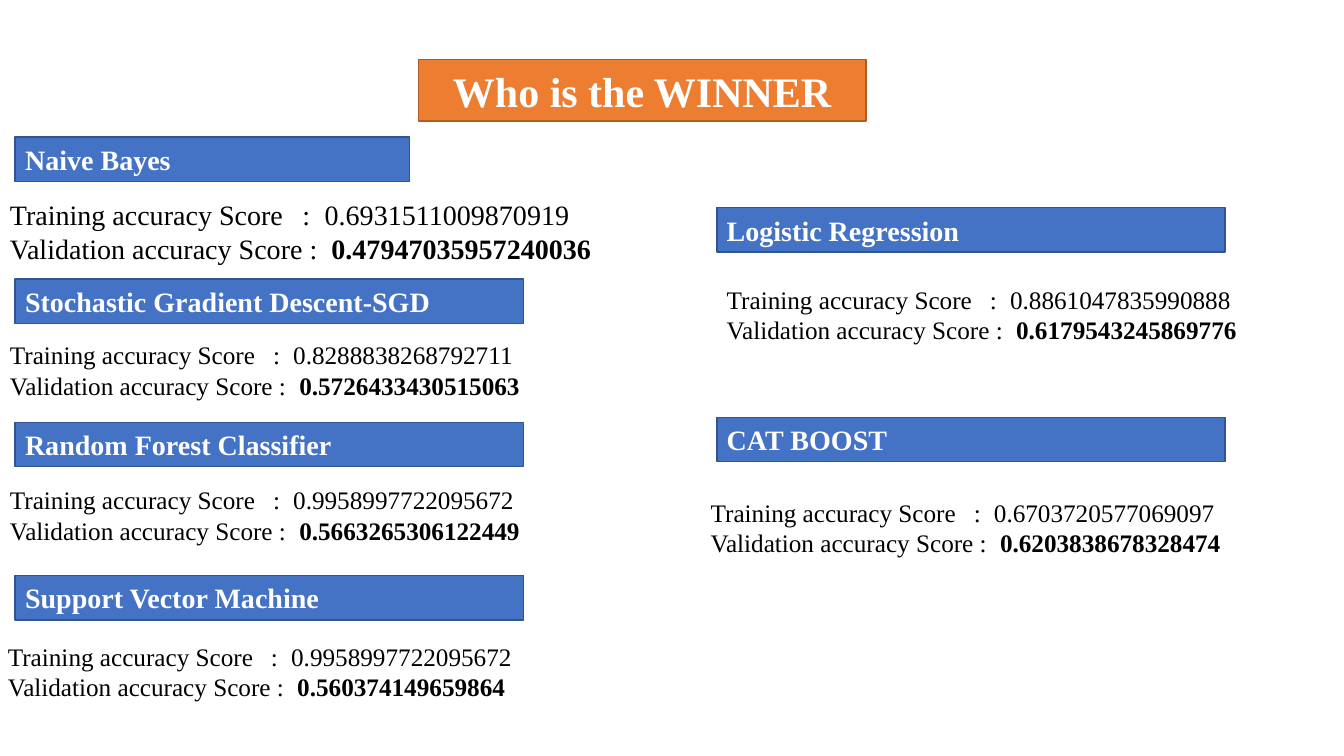
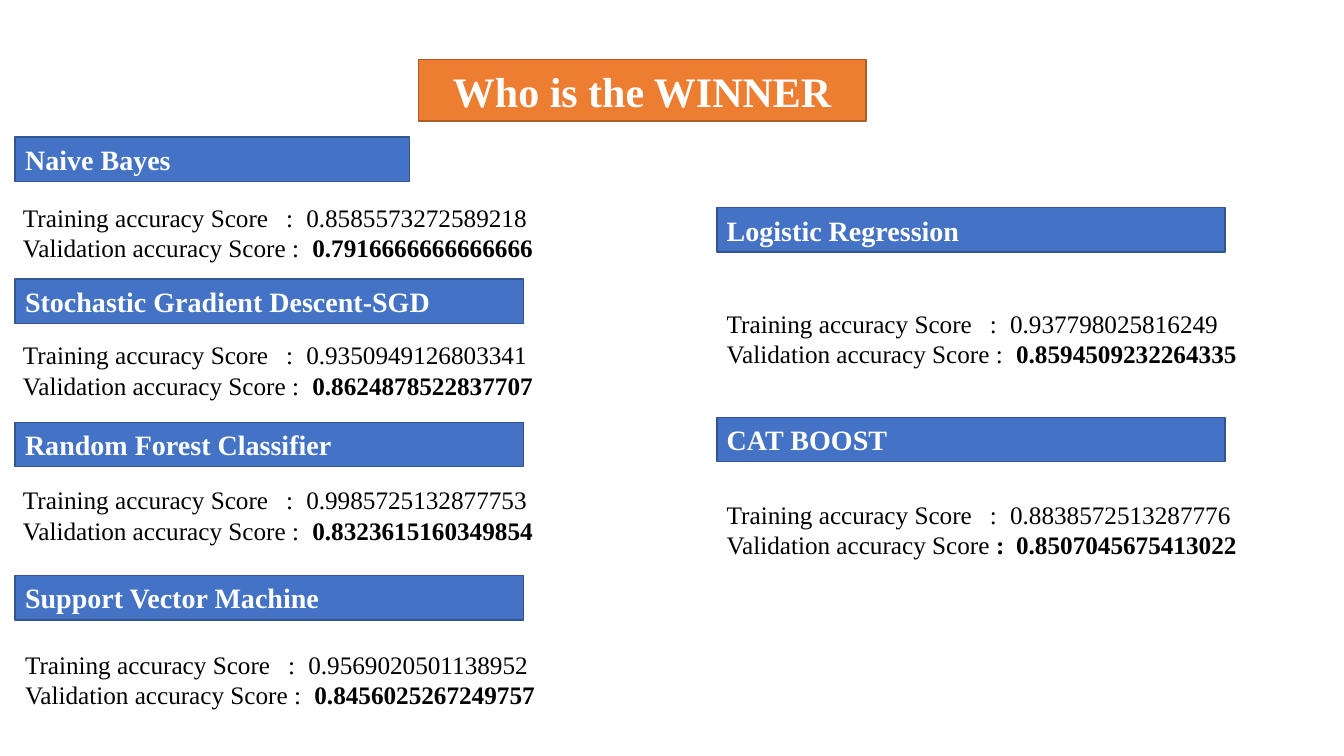
from lxml import etree
from pptx import Presentation
from pptx import util as u
from pptx.dml.color import RGBColor
from pptx.enum import shapes, text
from pptx.oxml.ns import qn

PX = 9144  # EMU in one px, 100 px to the inch
FONT = "Times New Roman"
COLORS = {
    "title": "ED7D31", "title_edge": "AF5C24",
    "band": "4472C4", "band_edge": "325491",
    "light": "FFFFFF", "dark": "000000",
}
TITLE = {"size": u.Pt(30), "bold": True}
HEADING = {"size": u.Pt(20), "bold": True}

# Model name and its band: left, top, width
BANDS = {
    "Naive Bayes": (15, 136, 391),
    "Stochastic Gradient Descent-SGD": (15, 277, 504),
    "Random Forest Classifier": (15, 419, 504),
    "Support Vector Machine": (15, 571, 504),
    "Logistic Regression": (711, 206, 504),
    "CAT BOOST": (711, 414, 504),
}
BAND_HEIGHT = 44

# Score labels; tab stops are px at 18 pt
TRAINING = "Training accuracy Score\t:\t"
VALIDATION = "Validation accuracy Score :\t"
TRAINING_STOPS = (261, 281)
VALIDATION_STOPS = (287,)

# One list per slide: left, top, width, points, training, validation label, validation
SLIDES = [
    [
        (0, 191, 598, 20, "0.6931511009870919", VALIDATION, "0.47947035957240036"),
        (0, 332, 667, 18, "0.8288838268792711", VALIDATION, "0.5726433430515063"),
        (0, 476, 667, 18, "0.9958997722095672", VALIDATION, "0.5663265306122449"),
        (-2, 631, 667, 18, "0.9958997722095672", VALIDATION, "0.560374149659864"),
        (711, 277, 667, 18, "0.8861047835990888", VALIDATION, "0.6179543245869776"),
        (695, 488, 667, 18, "0.6703720577069097", VALIDATION, "0.6203838678328474"),
    ],
    [
        (13, 196, 667, 18, "0.8585573272589218", VALIDATION, "0.7916666666666666"),
        (13, 332, 667, 18, "0.9350949126803341", VALIDATION, "0.8624878522837707"),
        (13, 476, 667, 18, "0.9985725132877753", VALIDATION, "0.8323615160349854"),
        (15, 639, 667, 18, "0.9569020501138952", VALIDATION, "0.8456025267249757"),
        (711, 301, 667, 18, "0.937798025816249", VALIDATION, "0.8594509232264335"),
        (711, 490, 667, 18, "0.8838572513287776", "Validation accuracy Score ",
         ":\t0.8507045675413022"),
    ],
]


def add_span(para, words, color, style):
    span = para.add_run()
    span.text = words
    span.font.name = FONT
    span.font.color.rgb = RGBColor.from_string(COLORS[color])
    for name, value in style.items():
        setattr(span.font, name, value)


def add_band(page, place, words, color, style, align):
    band = page.shapes.add_shape(shapes.MSO_SHAPE.RECTANGLE, *[n * PX for n in place])
    band.shadow.inherit = False
    band.fill.solid()
    band.fill.fore_color.rgb = RGBColor.from_string(COLORS[color])
    band.line.color.rgb = RGBColor.from_string(COLORS[color + "_edge"])
    band.line.width = u.Pt(1)
    frame = band.text_frame
    frame.word_wrap = True
    frame.vertical_anchor = text.MSO_ANCHOR.MIDDLE
    frame.paragraphs[0].alignment = align
    add_span(frame.paragraphs[0], words, "light", style)


deck = Presentation()
deck.slide_width, deck.slide_height = u.Inches(13.33), u.Inches(7.5)

for scores in SLIDES:
    page = deck.slides.add_slide(deck.slide_layouts[6])

    # Title and model bands
    add_band(page, (415, 59, 444, 61), "Who is the WINNER", "title", TITLE,
             text.PP_ALIGN.CENTER)
    for model, (left, top, width) in BANDS.items():
        add_band(page, (left, top, width, BAND_HEIGHT), model, "band", HEADING,
                 text.PP_ALIGN.LEFT)

    # Scores under each band
    for left, top, width, points, training, label, validation in scores:
        height = 77 if points == 20 else 71
        box = page.shapes.add_textbox(left * PX, top * PX, width * PX, height * PX)
        frame = box.text_frame
        frame.word_wrap = True
        frame.auto_size = text.MSO_AUTO_SIZE.SHAPE_TO_FIT_TEXT
        rows = [
            (frame.paragraphs[0], TRAINING, training, False, TRAINING_STOPS),
            (frame.add_paragraph(), label, validation, True, VALIDATION_STOPS),
        ]
        for para, lead, value, bold, stops in rows:
            tabs = etree.SubElement(para._p.get_or_add_pPr(), qn("a:tabLst"))
            for stop in stops:
                etree.SubElement(tabs, qn("a:tab"), algn="l",
                                 pos=str(stop * PX * points // 18))
            add_span(para, lead, "dark", {"size": u.Pt(points)})
            add_span(para, value, "dark", {"size": u.Pt(points), "bold": bold})

deck.save("out.pptx")
